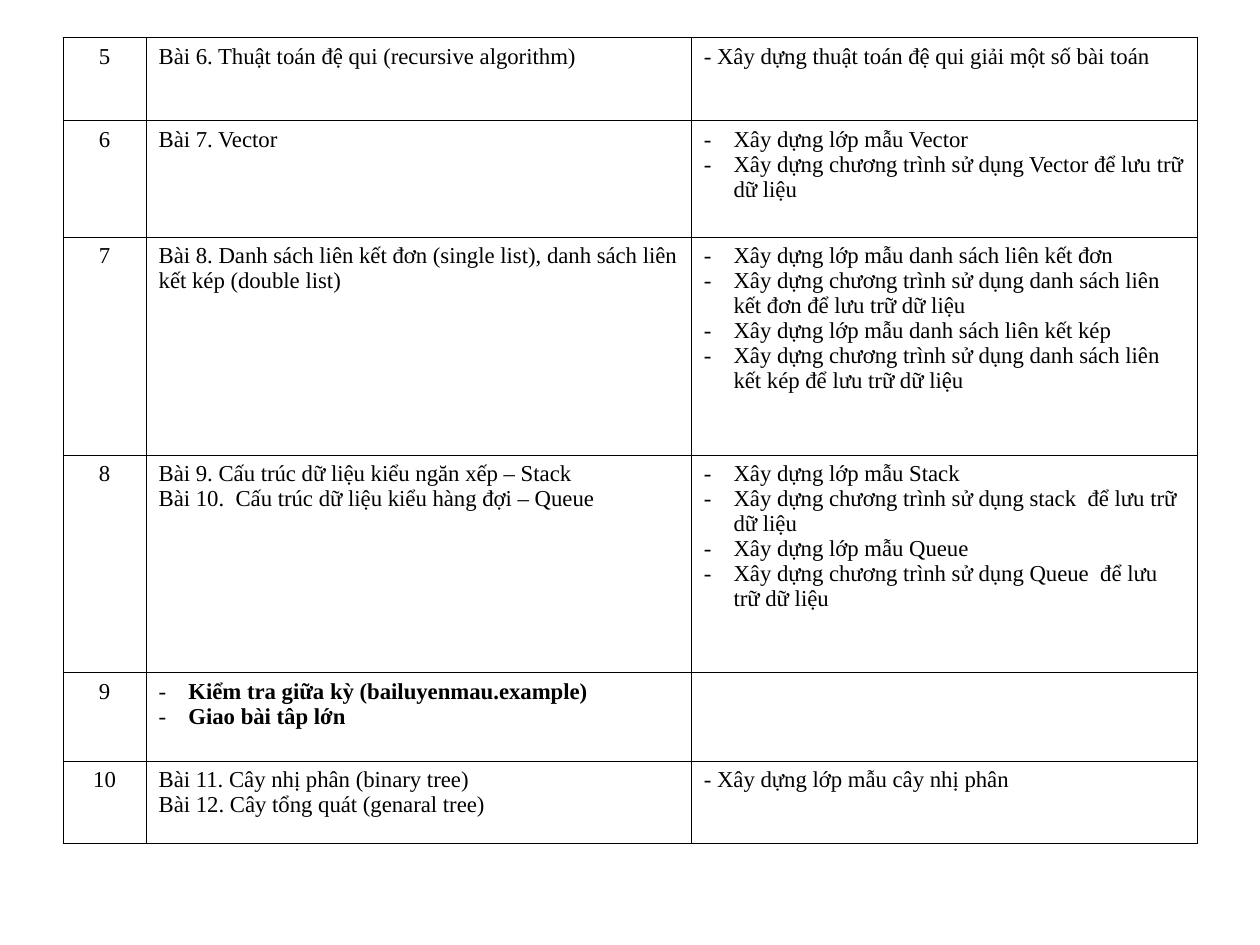
from lxml import etree
from pptx import Presentation
from pptx.dml.color import RGBColor
from pptx.enum.text import MSO_ANCHOR, PP_ALIGN
from pptx.oxml.ns import qn
from pptx.util import Pt

CENTER, LEFT = PP_ALIGN.CENTER, PP_ALIGN.LEFT
TOP = MSO_ANCHOR.TOP

COLUMN_WIDTHS = [47.5, 311.5, 289]
# Each week: row height, number, lessons, exercises.
# A cell is (lines, dashed, bold).
WEEKS = [
    (47.5, "5",
     (["Bài 6. Thuật toán đệ qui (recursive algorithm)"], False, False),
     (["- Xây dựng thuật toán đệ qui giải một số bài toán"], False, False)),
    (66.5, "6",
     (["Bài 7. Vector"], False, False),
     (["Xây dựng lớp mẫu Vector",
       "Xây dựng chương trình sử dụng Vector để lưu trữ dữ liệu"], True, False)),
    (124.5, "7",
     (["Bài 8. Danh sách liên kết đơn (single list), danh sách liên kết kép (double list)"],
      False, False),
     (["Xây dựng lớp mẫu danh sách liên kết đơn",
       "Xây dựng chương trình sử dụng danh sách liên kết đơn để lưu trữ dữ liệu",
       "Xây dựng lớp mẫu danh sách liên kết kép",
       "Xây dựng chương trình sử dụng danh sách liên kết kép để lưu trữ dữ liệu"],
      True, False)),
    (124.5, "8",
     (["Bài 9. Cấu trúc dữ liệu kiểu ngăn xếp – Stack",
       "Bài 10.  Cấu trúc dữ liệu kiểu hàng đợi – Queue"], False, False),
     (["Xây dựng lớp mẫu Stack",
       "Xây dựng chương trình sử dụng stack  để lưu trữ dữ liệu",
       "Xây dựng lớp mẫu Queue",
       "Xây dựng chương trình sử dụng Queue  để lưu trữ dữ liệu"], True, False)),
    (50.5, "9",
     (["Kiểm tra giữa kỳ (bailuyenmau.example)", "Giao bài tâp lớn"], True, True),
     ([], False, False)),
    (47, "10",
     (["Bài 11. Cây nhị phân (binary tree)",
       "Bài 12. Cây tổng quát (genaral tree)"], False, False),
     (["- Xây dựng lớp mẫu cây nhị phân"], False, False)),
]


def color(hex_code):
    return RGBColor.from_string(hex_code)


class Schedule:
    font = "Times New Roman"
    size = 13
    ink = "000000"
    paper = "FFFFFF"
    border = 0.45
    indent = 17

    def __init__(self, slide):
        self.slide = slide

    def table(self, left, top, widths, weeks):
        heights = [week[0] for week in weeks]
        frame = self.slide.shapes.add_table(
            len(weeks), len(widths), Pt(left), Pt(top), Pt(sum(widths)), Pt(sum(heights)))
        grid = frame.table
        grid.first_row = grid.horz_banding = False
        for column, width in zip(grid.columns, widths):
            column.width = Pt(width)
        for row, (height, number, lessons, exercises) in zip(grid.rows, weeks):
            row.height = Pt(height)
            contents = [([number], False, False), lessons, exercises]
            for cell, content, align in zip(row.cells, contents, (CENTER, LEFT, LEFT)):
                self.cell(cell, *content, align)

    def cell(self, cell, lines, dashed, bold, align):
        cell.vertical_anchor = TOP
        cell.margin_left = cell.margin_right = Pt(7.2)
        cell.margin_top = cell.margin_bottom = Pt(3.6)
        self.borders(cell)
        cell.fill.solid()
        cell.fill.fore_color.rgb = color(self.paper)
        frame = cell.text_frame
        for index, line in enumerate(lines):
            paragraph = frame.paragraphs[0] if index == 0 else frame.add_paragraph()
            paragraph.alignment = align
            if dashed:
                self.dash(paragraph)
            run = paragraph.add_run()
            run.text = line
            run.font.name = self.font
            run.font.size = Pt(self.size)
            run.font.bold = bold
            run.font.color.rgb = color(self.ink)

    def borders(self, cell):
        properties = cell._tc.get_or_add_tcPr()
        for side in ("a:lnL", "a:lnR", "a:lnT", "a:lnB"):
            line = etree.SubElement(properties, qn(side), w=str(Pt(self.border)))
            fill = etree.SubElement(line, qn("a:solidFill"))
            etree.SubElement(fill, qn("a:srgbClr"), val=self.ink)

    def dash(self, paragraph):
        properties = paragraph._p.get_or_add_pPr()
        properties.set("marL", str(Pt(self.indent)))
        properties.set("indent", str(-Pt(self.indent)))
        bullet_color = etree.SubElement(properties, qn("a:buClr"))
        etree.SubElement(bullet_color, qn("a:srgbClr"), val=self.ink)
        etree.SubElement(properties, qn("a:buFont"), typeface=self.font)
        etree.SubElement(properties, qn("a:buChar"), char="-")


def main():
    deck = Presentation()
    deck.slide_width, deck.slide_height = Pt(720), Pt(540)
    slide = deck.slides.add_slide(deck.slide_layouts[6])

    # Weekly lessons and exercises
    Schedule(slide).table(36, 21.5, COLUMN_WIDTHS, WEEKS)

    deck.save("out.pptx")


if __name__ == "__main__":
    main()
